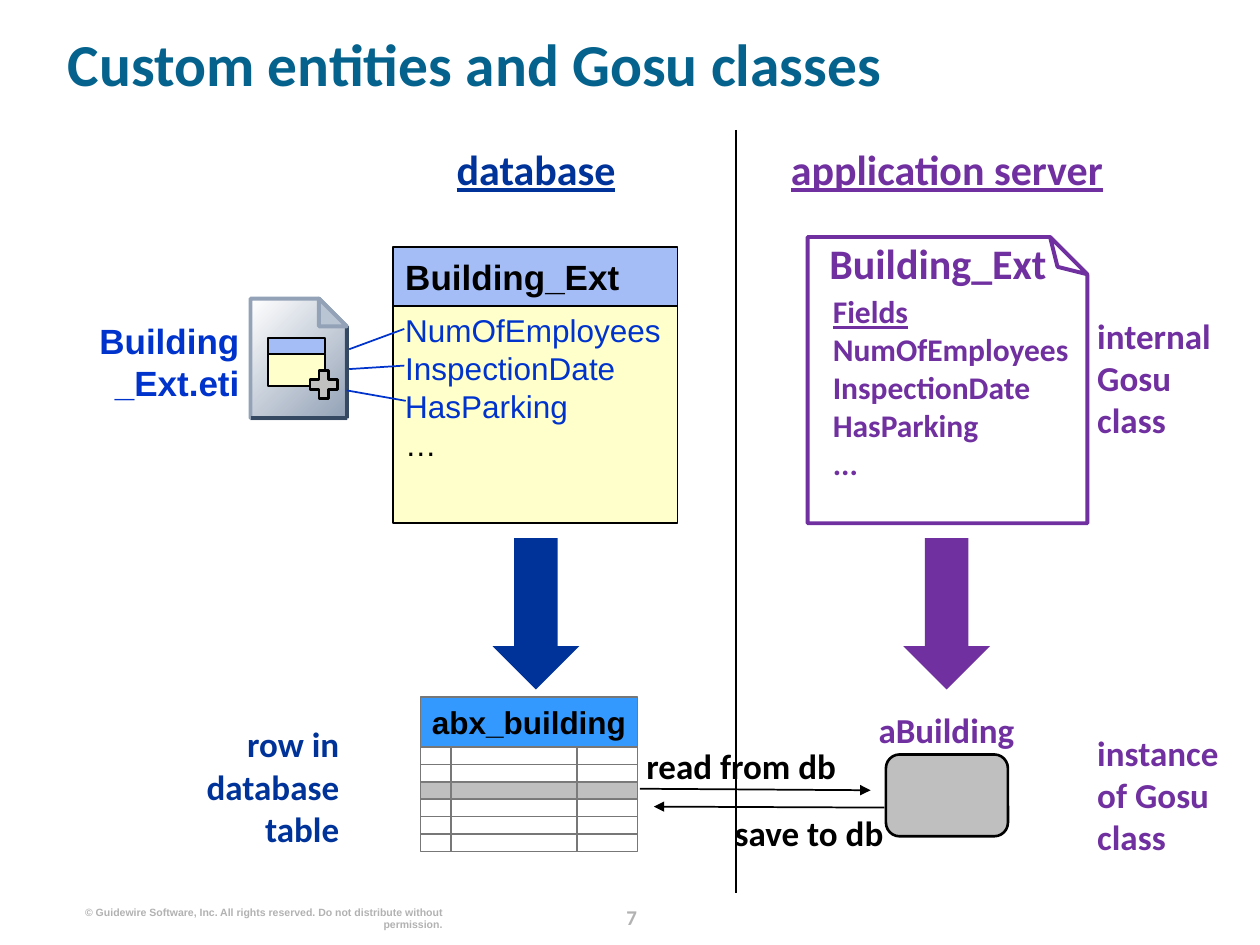
from lxml import etree
from pptx import Presentation
from pptx.dml.color import RGBColor
from pptx.enum.shapes import MSO_CONNECTOR, MSO_SHAPE
from pptx.enum.text import MSO_ANCHOR, PP_ALIGN
from pptx.oxml.ns import qn
from pptx.util import Cm, Pt

LEFT, CENTER, RIGHT = PP_ALIGN.LEFT, PP_ALIGN.CENTER, PP_ALIGN.RIGHT
TOP, MIDDLE = MSO_ANCHOR.TOP, MSO_ANCHOR.MIDDLE
RECT, DOWN_ARROW = MSO_SHAPE.RECTANGLE, MSO_SHAPE.DOWN_ARROW
ROUNDED, PLUS, FOLDED = MSO_SHAPE.ROUNDED_RECTANGLE, MSO_SHAPE.CROSS, MSO_SHAPE.FOLDED_CORNER
STRAIGHT = MSO_CONNECTOR.STRAIGHT

BLACK = RGBColor(0x00, 0x00, 0x00)
WHITE = RGBColor(0xFF, 0xFF, 0xFF)
TEAL = RGBColor(0x04, 0x62, 0x8C)
NAVY = RGBColor(0x00, 0x33, 0x99)
BLUE = RGBColor(0x00, 0x33, 0xCC)
PURPLE = RGBColor(0x70, 0x30, 0xA0)
PALE_YELLOW = RGBColor(0xFF, 0xFF, 0xCC)
PALE_BLUE = RGBColor(0xA4, 0xBD, 0xF6)
TABLE_BLUE = RGBColor(0x33, 0x99, 0xFF)
GRID_GREY = RGBColor(0x77, 0x77, 0x77)
MID_GREY = RGBColor(0x80, 0x80, 0x80)
SILVER = RGBColor(0xC0, 0xC0, 0xC0)
FOOTER_GREY = RGBColor(0xB2, 0xB2, 0xB2)
PAGE_EDGE = RGBColor(0x93, 0xA2, 0xB7)
PAGE_FOLD = RGBColor(0xBA, 0xC5, 0xD4)
PAGE_SHADE = RGBColor(0x35, 0x49, 0x63)


def write(shape, paragraphs, size, color, font="Calibri", bold=True,
          align=LEFT, anchor=TOP, wrap=True):
    """Fill a shape with paragraphs; a newline inside one is a line break."""
    frame = shape.text_frame
    frame.word_wrap = wrap
    frame.vertical_anchor = anchor
    for index, content in enumerate(paragraphs):
        paragraph = frame.add_paragraph() if index else frame.paragraphs[0]
        paragraph.text = content
        paragraph.alignment = align
        for run in paragraph.runs:
            run.font.name = font
            run.font.size = Pt(size)
            run.font.bold = bold
            run.font.color.rgb = color
    return frame


def add_label(slide, box, content, size, color, inset=True, **style):
    label = slide.shapes.add_textbox(*map(Cm, box))
    frame = write(label, [content], size, color, **style)
    if not inset:
        frame.margin_left = frame.margin_right = 0
        frame.margin_top = frame.margin_bottom = 0
    return frame


def outline(shape, color, width):
    shape.shadow.inherit = False
    if color is None:
        shape.line.fill.background()
    else:
        shape.line.color.rgb = color
        shape.line.width = Pt(width)


def add_box(slide, kind, box, fill=None, line=None, width=1, adjust=None, half_clear=False):
    shape = slide.shapes.add_shape(kind, *map(Cm, box))
    outline(shape, line, width)
    if fill is None:
        shape.fill.background()
    else:
        shape.fill.solid()
        shape.fill.fore_color.rgb = fill
    properties = shape._element.spPr
    if adjust is not None:
        geometry = properties.find(qn("a:prstGeom"))
        for guides in geometry.findall(qn("a:avLst")):
            geometry.remove(guides)
        guides = etree.SubElement(geometry, qn("a:avLst"))
        etree.SubElement(guides, qn("a:gd"), name="adj", fmla=f"val {round(adjust * 100000)}")
    if half_clear:
        fill_color = properties.find(qn("a:solidFill")).find(qn("a:srgbClr"))
        etree.SubElement(fill_color, qn("a:alpha"), val="50000")
    return shape


def add_line(slide, start, end, color=BLACK, width=1, arrow=False):
    line = slide.shapes.add_connector(STRAIGHT, *map(Cm, start + end))
    line.line.color.rgb = color
    line.line.width = Pt(width)
    properties = line._element.spPr
    if arrow:
        etree.SubElement(properties.find(qn("a:ln")), qn("a:tailEnd"), type="triangle")
    etree.SubElement(properties, qn("a:effectLst"))


def add_outline(slide, points):
    (x, y), *rest = points
    builder = slide.shapes.build_freeform(Cm(x), Cm(y))
    builder.add_line_segments([(Cm(px), Cm(py)) for px, py in rest], close=True)
    shape = builder.convert_to_shape()
    outline(shape, PAGE_EDGE, 2.25)
    return shape


def add_eti_file(slide):
    left, top, right, bottom, fold = 5.05, 6.02, 6.99, 8.43, 0.56
    fold_top, fold_end = (right - fold, top), (right, top + fold)
    page = add_outline(slide, [(left, bottom), (left, top), fold_top, fold_end, (right, bottom)])
    page.fill.gradient()
    page.fill.gradient_angle = 315
    for stop, color, position in zip(page.fill.gradient_stops, (WHITE, PAGE_EDGE), (0, 1)):
        stop.color.rgb = color
        stop.position = position
    add_line(slide, (left, bottom), (right, bottom), PAGE_SHADE, 2.25)
    add_line(slide, (right, bottom), fold_end, PAGE_SHADE, 2.25)
    corner = add_outline(slide, [fold_top, (right - fold, top + fold), fold_end])
    corner.fill.solid()
    corner.fill.fore_color.rgb = PAGE_FOLD

    add_box(slide, RECT, (5.41, 7.14, 1.14, 0.64), PALE_YELLOW, BLACK)
    add_box(slide, RECT, (5.41, 6.81, 1.14, 0.32), PALE_BLUE, BLACK)
    add_box(slide, PLUS, (6.25, 7.47, 0.56, 0.56), SILVER, BLACK, 1.5, adjust=0.325)
    add_label(slide, (0.61, 6.45, 4.22, 1.7), "Building\n_Ext.eti", 20, BLUE,
              inset=False, font="Arial", align=RIGHT)


def add_entity(slide):
    fields = add_box(slide, RECT, (7.92, 6.15, 5.74, 4.39), PALE_YELLOW, BLACK)
    frame = write(fields, ["NumOfEmployees\nInspectionDate\nHasParking", "…"], 18, BLUE,
                  font="Arial", bold=False, wrap=False)
    frame.paragraphs[1].runs[0].font.color.rgb = BLACK
    header = add_box(slide, RECT, (7.92, 4.98, 5.74, 1.19), PALE_BLUE, BLACK)
    write(header, ["Building_Ext"], 20, BLACK, font="Arial", anchor=MIDDLE, wrap=False)
    for start, end in (((8.15, 6.63), (7.04, 7.04)),
                       ((8.15, 7.37), (7.04, 7.44)),
                       ((8.18, 8.08), (6.99, 7.87))):
        add_line(slide, start, end, BLUE)


def add_gosu_class(slide):
    page = add_box(slide, FOLDED, (16.28, 4.78, 5.64, 5.77), None, PURPLE, 2.25, adjust=0.133)
    page._element.spPr.find(qn("a:xfrm")).set("flipV", "1")
    add_label(slide, (16.13, 4.67, 5.56, 1.35), "Building_Ext", 24, PURPLE, align=CENTER)
    fields = add_label(slide, (16.54, 5.77, 5.26, 4.39),
                       "Fields\nNumOfEmployees\nInspectionDate\nHasParking\n...", 18, PURPLE)
    fields.paragraphs[0].runs[0].font.underline = True


def add_database_table(slide):
    left, top, width, height, rows = 8.48, 15.06, 4.37, 2.1, 6
    right, bottom, row_height = left + width, top + height, height / rows
    add_box(slide, RECT, (left, top, width, height), WHITE, GRID_GREY, 0.75)
    header = add_box(slide, RECT, (left, 14.05, width, 1.01), TABLE_BLUE, GRID_GREY, 0.75)
    write(header, ["abx_building"], 18, BLACK, font="Arial", align=CENTER,
          anchor=MIDDLE, wrap=False)
    for row in range(1, rows):
        y = top + row * row_height
        add_line(slide, (left, y), (right, y), GRID_GREY)
    for x in (9.09, 11.63):
        add_line(slide, (x, top), (x, bottom), GRID_GREY)
    add_box(slide, RECT, (left, top + 2 * row_height, width, row_height), MID_GREY,
            half_clear=True)


def main():
    deck = Presentation()
    deck.slide_width, deck.slide_height = Cm(25.4), Cm(19.05)
    slide = deck.slides.add_slide(deck.slide_layouts[6])

    page_number = add_label(slide, (12.01, 18.11, 1.45, 0.64), "7", 12, FOOTER_GREY,
                            inset=False, align=CENTER)
    page_number.paragraphs[0].line_spacing = Pt(18)
    add_label(slide, (1.55, 18.26, 7.37, 0.25),
              "© Guidewire Software, Inc. All rights reserved. "
              "Do not distribute without permission.",
              6, FOOTER_GREY, inset=False, font="Arial", align=RIGHT)
    title = add_label(slide, (1.37, 0.33, 23.11, 2.06), "Custom entities and Gosu classes",
                      34, TEAL, inset=False, anchor=MIDDLE)
    title.paragraphs[0].line_spacing = 0.9

    add_gosu_class(slide)
    add_box(slide, ROUNDED, (17.86, 15.21, 2.46, 1.65), MID_GREY, BLACK, 1.5, half_clear=True)
    add_label(slide, (16.59, 14.15, 4.98, 1.12), "aBuilding", 20, PURPLE, align=CENTER)
    add_database_table(slide)

    add_label(slide, (3.51, 14.45, 3.58, 3.25), "row in database\ntable", 20, NAVY, align=RIGHT)
    add_label(slide, (21.87, 14.63, 3.2, 2.95), "instance\nof Gosu\nclass", 20, PURPLE)
    add_label(slide, (21.87, 6.22, 3.2, 3.28), "internal\nGosu\nclass", 20, PURPLE)

    add_line(slide, (14.83, 2.62), (14.83, 18.01))
    for heading, left, width, arrow_left, color in (
            ("database", 8.13, 5.36, 9.93, NAVY),
            ("application server", 14.58, 9.02, 18.21, PURPLE)):
        frame = add_label(slide, (left, 2.77, width, 1.5), heading, 24, color, align=CENTER)
        frame.paragraphs[0].runs[0].font.underline = True
        add_box(slide, DOWN_ARROW, (arrow_left, 10.85, 1.75, 3.05), color)

    add_line(slide, (12.9, 15.9), (17.55, 15.93), arrow=True)
    add_line(slide, (17.83, 16.28), (13.18, 16.26), arrow=True)
    add_eti_file(slide)
    add_entity(slide)
    add_label(slide, (12.78, 14.88, 4.67, 1.09), "read from db", 20, BLACK)
    add_label(slide, (12.75, 16.23, 5.31, 1.09), "save to db", 20, BLACK, align=RIGHT)

    deck.save("out.pptx")


if __name__ == "__main__":
    main()
